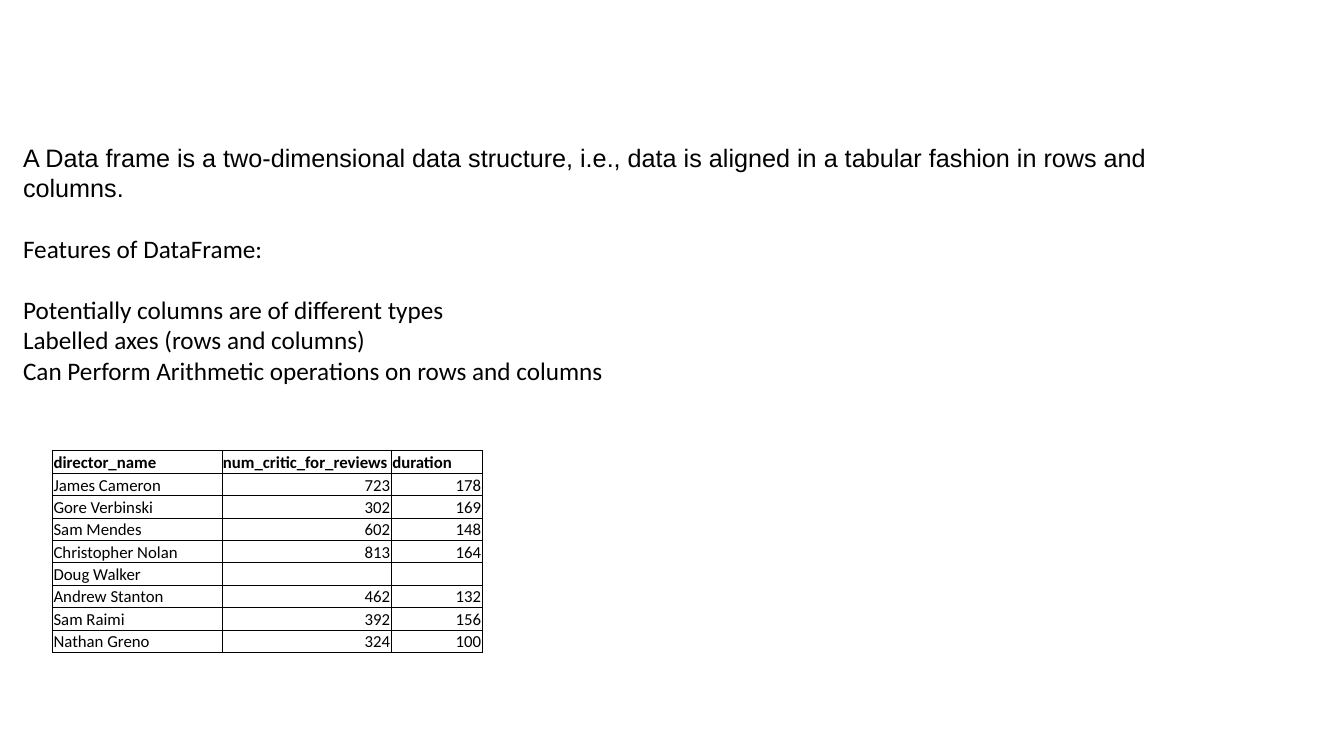
from dataclasses import dataclass

from lxml import etree
from pptx import Presentation
from pptx.dml.color import RGBColor
from pptx.enum.text import MSO_ANCHOR, PP_ALIGN
from pptx.oxml.ns import qn
from pptx.util import Pt

LEFT, RIGHT = PP_ALIGN.LEFT, PP_ALIGN.RIGHT
BOTTOM = MSO_ANCHOR.BOTTOM


@dataclass(frozen=True)
class Theme:
    """Colours, fonts and sizes of the slide."""
    ink: RGBColor = RGBColor(0, 0, 0)
    definition_font: str = "Arial"
    body_font: str = "Calibri"
    body_size: float = 18
    table_size: float = 12
    border_width: float = 0.5


@dataclass(frozen=True)
class Line:
    """One paragraph, its font and the gap above it in points."""
    text: str
    font: str
    gap: float = 0


THEME = Theme()
SECTION_GAP = 22
LINES = (
    Line("A Data frame is a two-dimensional data structure, i.e., data is aligned "
         "in a tabular fashion in rows and columns.", THEME.definition_font),
    Line("Features of DataFrame:", THEME.body_font, SECTION_GAP),
    Line("Potentially columns are of different types", THEME.body_font, SECTION_GAP),
    Line("Labelled axes (rows and columns)", THEME.body_font),
    Line("Can Perform Arithmetic operations on rows and columns", THEME.body_font),
)
COLUMN_WIDTHS = (121, 121, 65)
ROW_HEIGHT = 16
DIRECTORS = (
    ("director_name", "num_critic_for_reviews", "duration"),
    ("James Cameron", "723", "178"),
    ("Gore Verbinski", "302", "169"),
    ("Sam Mendes", "602", "148"),
    ("Christopher Nolan", "813", "164"),
    ("Doug Walker", "", ""),
    ("Andrew Stanton", "462", "132"),
    ("Sam Raimi", "392", "156"),
    ("Nathan Greno", "324", "100"),
)


def style_paragraph(paragraph, font: str, size: float, bold: bool = False) -> None:
    """Set the font of a whole paragraph."""
    paragraph.font.name = font
    paragraph.font.size = Pt(size)
    paragraph.font.bold = bold
    paragraph.font.color.rgb = THEME.ink


def add_description(page) -> None:
    """Add the definition and the list of features."""
    box = page.shapes.add_textbox(Pt(9.4), Pt(98), Pt(872), Pt(204))
    frame = box.text_frame
    frame.word_wrap = True
    for index, line in enumerate(LINES):
        para = frame.add_paragraph() if index else frame.paragraphs[0]
        para.text = line.text
        para.space_before = Pt(line.gap)
        style_paragraph(para, line.font, THEME.body_size)


def add_borders(cell) -> None:
    """Draw a thin line on all four sides of a cell."""
    properties = cell._tc.get_or_add_tcPr()
    for index, side in enumerate(("a:lnL", "a:lnR", "a:lnT", "a:lnB")):
        border = etree.Element(qn(side), w=str(Pt(THEME.border_width)))
        fill = etree.SubElement(border, qn("a:solidFill"))
        etree.SubElement(fill, qn("a:srgbClr"), val=str(THEME.ink))
        properties.insert(index, border)


def fill_cell(cell, text: str, header: bool, numeric: bool) -> None:
    """Write and style one table cell."""
    cell.fill.background()
    cell.vertical_anchor = BOTTOM
    cell.margin_left = cell.margin_right = cell.margin_top = Pt(0.75)
    cell.margin_bottom = Pt(0)
    para = cell.text_frame.paragraphs[0]
    para.text = text
    para.alignment = RIGHT if numeric and not header else LEFT
    style_paragraph(para, THEME.body_font, THEME.table_size, header)
    if not text:
        etree.SubElement(para._p, qn("a:endParaRPr"), sz=str(int(THEME.table_size * 100)))
    add_borders(cell)


def add_directors(page) -> None:
    """Add the table of directors."""
    table = page.shapes.add_table(
        len(DIRECTORS), len(COLUMN_WIDTHS), Pt(37.5), Pt(322),
        Pt(sum(COLUMN_WIDTHS)), Pt(ROW_HEIGHT * len(DIRECTORS))).table
    table.first_row = table.horz_banding = False
    for column, width in zip(table.columns, COLUMN_WIDTHS):
        column.width = Pt(width)
    for row_index, values in enumerate(DIRECTORS):
        table.rows[row_index].height = Pt(ROW_HEIGHT)
        for column_index, value in enumerate(values):
            fill_cell(table.cell(row_index, column_index), value,
                      header=row_index == 0, numeric=column_index > 0)


def main() -> None:
    """Build and save the deck."""
    deck = Presentation()
    deck.slide_width, deck.slide_height = Pt(960), Pt(540)
    page = deck.slides.add_slide(deck.slide_layouts[6])
    add_description(page)
    add_directors(page)
    deck.save("out.pptx")


main()
